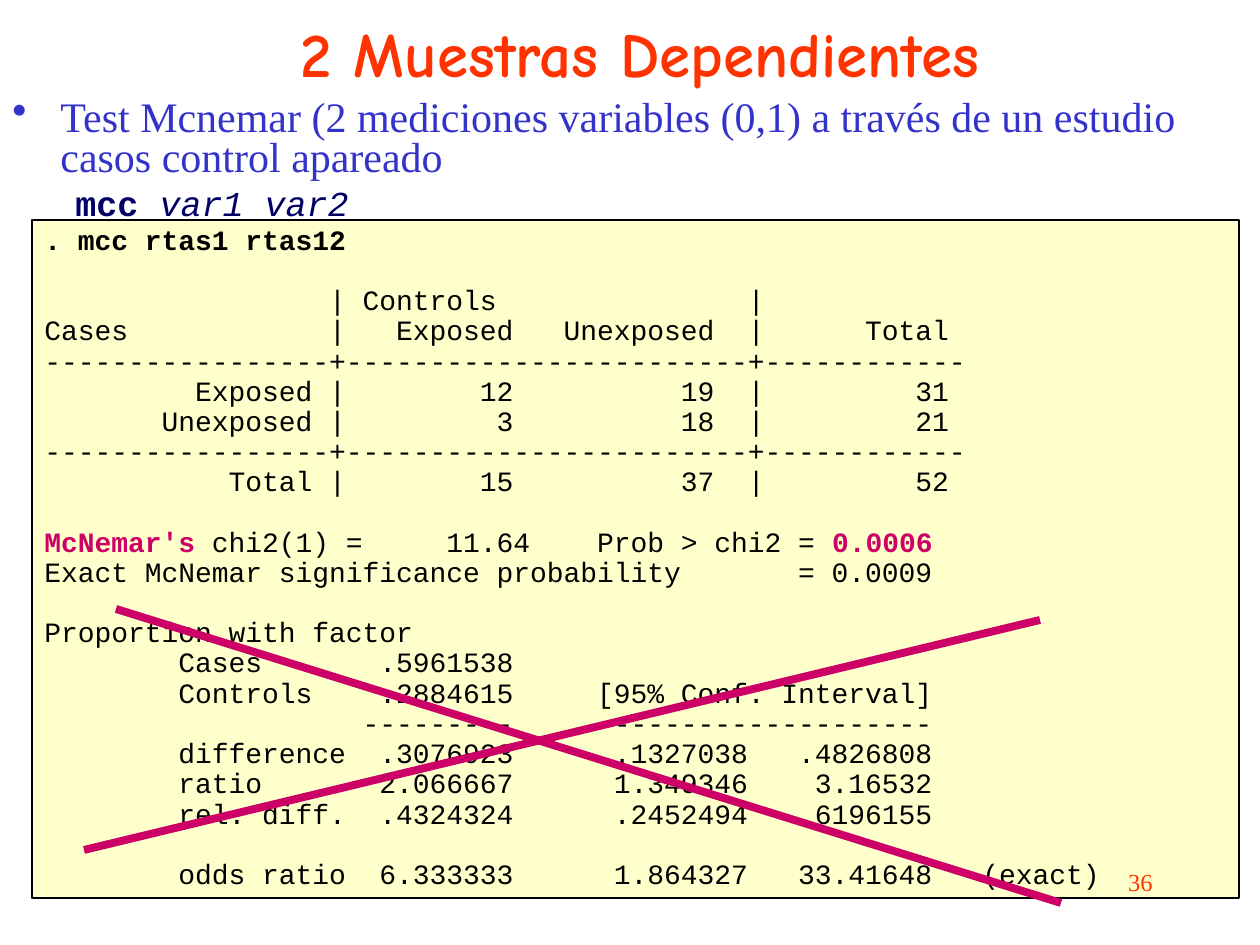
from lxml.etree import SubElement
from pptx import Presentation
from pptx.dml.color import RGBColor
from pptx.enum.shapes import MSO_CONNECTOR, MSO_SHAPE
from pptx.enum.text import MSO_ANCHOR, PP_ALIGN
from pptx.oxml.ns import qn
from pptx.util import Emu, Pt

RED = RGBColor(0xFF, 0x33, 0x00)
BLUE = RGBColor(0x33, 0x33, 0xCC)
NAVY = RGBColor(0x00, 0x00, 0x66)
PINK = RGBColor(0xCC, 0x00, 0x66)
CREAM = RGBColor(0xFF, 0xFF, 0xCC)
BLACK = RGBColor(0x00, 0x00, 0x00)
SERIF = "Times New Roman"
MONO = "Courier New"

TABLE = """\
                 | Controls               |
Cases            |   Exposed   Unexposed  |      Total
-----------------+------------------------+------------
         Exposed |        12          19  |         31
       Unexposed |         3          18  |         21
-----------------+------------------------+------------
           Total |        15          37  |         52"""
EXACT = "Exact McNemar significance probability       = 0.0009"
RATES = """\
Proportion with factor
        Cases       .5961538
        Controls    .2884615     [95% Conf. Interval]
                   ---------     --------------------
        difference  .3076923      .1327038   .4826808
        ratio       2.066667      1.349346    3.16532
        rel. diff.  .4324324      .2452494   .6196155"""
ODDS = "        odds ratio  6.333333      1.864327   33.41648   (exact)"


def px(num):
    """Turn pixels into EMU."""
    return Emu(round(num * 914400 / 126))


def write(frame, runs, size, font, color, align=PP_ALIGN.LEFT,
          lead=1.0, gap=0, left=0, hang=0, bullet=None):
    """Add a paragraph of (text, bold, italic, colour) runs, later parts optional."""
    para = frame.paragraphs[0]
    if para.runs:
        para = frame.add_paragraph()
    props = para._p.get_or_add_pPr()
    props.set("marL", str(px(left)))
    props.set("indent", str(px(-hang)))
    if bullet:
        SubElement(props, qn("a:buChar")).set("char", bullet)
    para.alignment = align
    para.line_spacing = lead
    para.space_before = Pt(gap)
    for text, *style in runs:
        bold, slant, tint = style + [False, False, color][len(style):]
        run = para.add_run()
        run.text = text
        run.font.size = Pt(size)
        run.font.name = font
        run.font.bold = bold
        run.font.italic = slant
        run.font.color.rgb = tint


def box(slide, left, top, width, height, anchor=MSO_ANCHOR.TOP):
    """Add a wrapping text box and return its frame."""
    shape = slide.shapes.add_textbox(px(left), px(top), px(width), px(height))
    frame = shape.text_frame
    frame.word_wrap = True
    frame.vertical_anchor = anchor
    return frame


def panel(slide, left, top, width, height):
    """Add the framed output panel and return its frame."""
    shape = slide.shapes.add_shape(
        MSO_SHAPE.RECTANGLE, px(left), px(top), px(width), px(height))
    shape.shadow.inherit = False
    shape.fill.solid()
    shape.fill.fore_color.rgb = CREAM
    shape.line.color.rgb = BLACK
    shape.line.width = Pt(0.75)
    frame = shape.text_frame
    frame.word_wrap = True
    frame.vertical_anchor = MSO_ANCHOR.TOP
    return frame


def strike(slide, *ends):
    """Draw a thick line between two points."""
    line = slide.shapes.add_connector(MSO_CONNECTOR.STRAIGHT, *map(px, ends))
    line.line.color.rgb = PINK
    line.line.width = Pt(4.5)
    SubElement(line._element.spPr, qn("a:effectLst"))


def plain(text):
    """Split a listing into lines of one run each."""
    return [[(line,)] for line in text.split("\n")]


def output(frame):
    """Write the blocks of program output, one line apart."""
    test = [("McNemar's", True, False, PINK),
            (" chi2(1) =     11.64    Prob > chi2 = ",),
            ("0.0006", True, False, PINK)]
    blocks = [[[(". mcc rtas1 rtas12", True)]], plain(TABLE),
              [test, *plain(EXACT)], plain(RATES), plain(ODDS)]
    for num, block in enumerate(blocks):
        for row, runs in enumerate(block):
            gap = 17.2 if num and not row else 0
            write(frame, runs, 16, MONO, BLACK, lead=0.9, gap=gap)


def main():
    """Build and save the slide."""
    deck = Presentation()
    deck.slide_width, deck.slide_height = px(1260), px(945)
    slide = deck.slides.add_slide(deck.slide_layouts[6])

    title = box(slide, 104, 0, 1071, 105, MSO_ANCHOR.MIDDLE)
    write(title, [("2 Muestras Dependientes", True)], 36, "Comic Neue", RED,
          align=PP_ALIGN.CENTER)

    body = box(slide, 0, 94, 1281, 136)
    write(body, [("Test Mcnemar (2 mediciones variables (0,1) a través de "
                  "un estudio casos control apareado",)], 24, SERIF, BLUE,
          lead=0.8, left=48, hang=48, bullet="•")
    write(body, [("mcc ", True), ("var1 var2", False, True)], 20, MONO, NAVY,
          lead=0.8, gap=5, left=63)

    output(panel(slide, 32, 220, 1207, 678))
    strike(slide, 116, 609, 1061, 903)
    strike(slide, 84, 850, 1040, 620)

    page = box(slide, 903, 861, 262, 63)
    write(page, [("36",)], 14, SERIF, RED, align=PP_ALIGN.RIGHT)
    deck.save("out.pptx")


if __name__ == "__main__":
    main()
